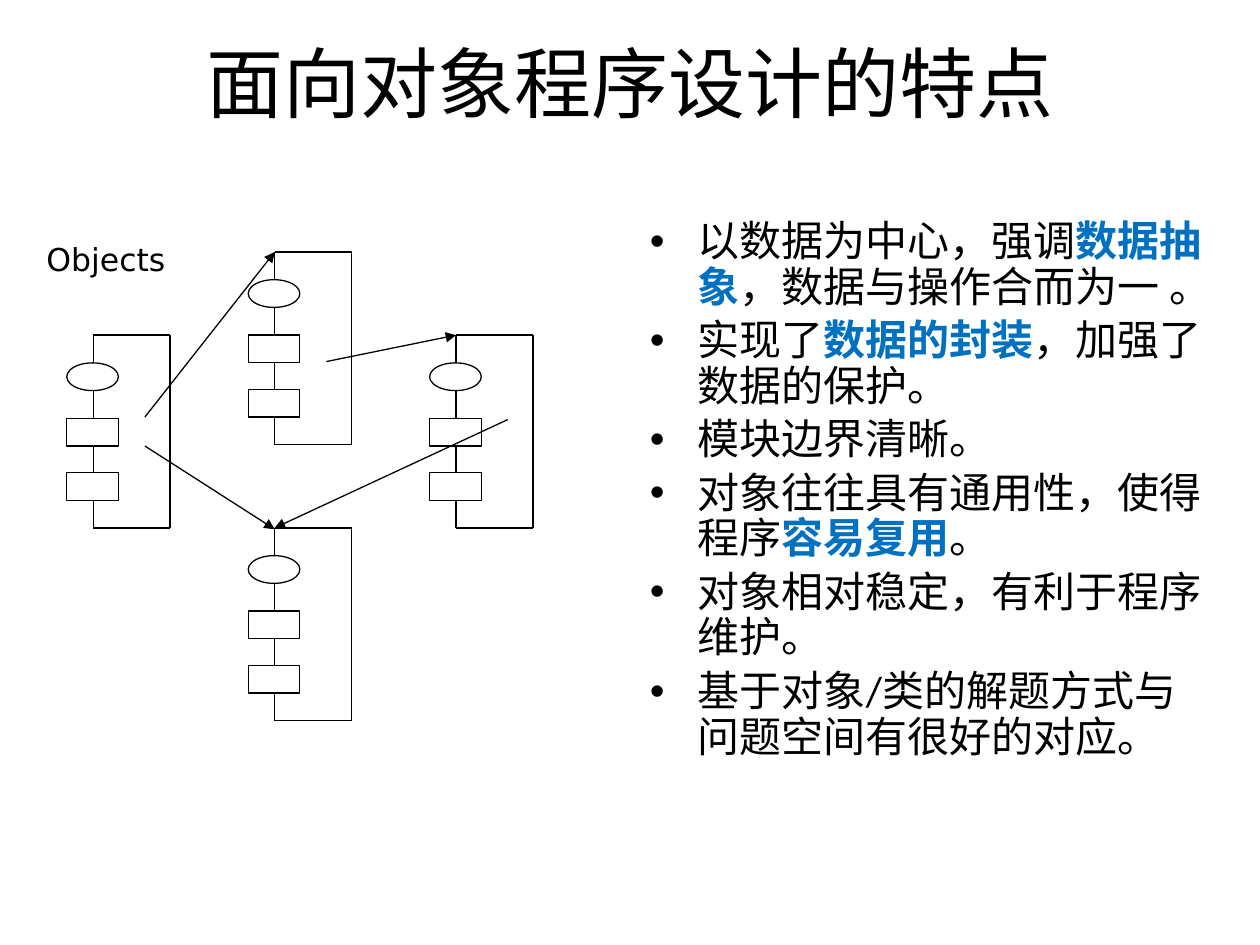
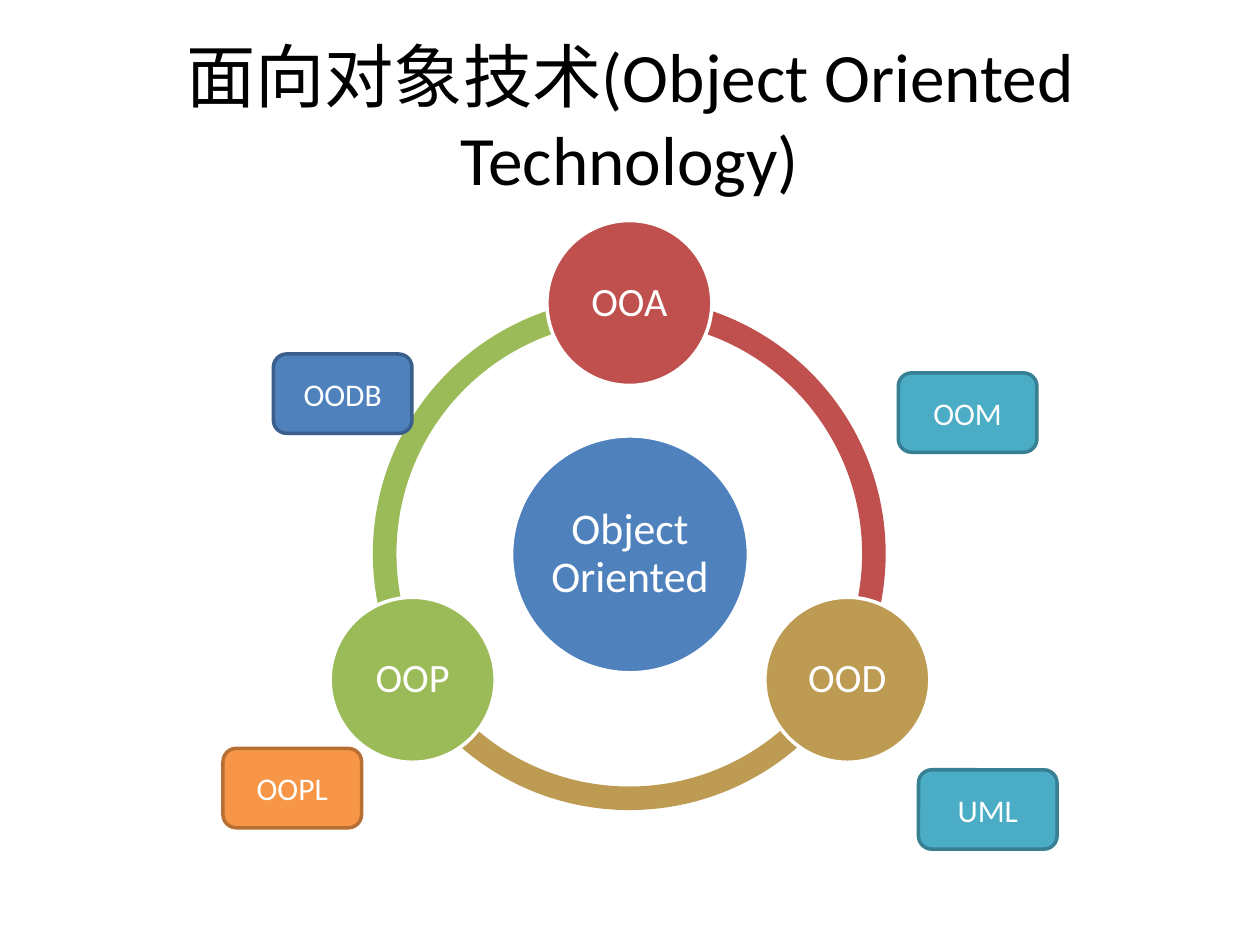
from math import cos, radians, sin

from lxml.etree import SubElement
from pptx import Presentation
from pptx.dml.color import RGBColor
from pptx.enum.shapes import MSO_CONNECTOR, MSO_SHAPE
from pptx.enum.text import MSO_ANCHOR, MSO_AUTO_SIZE, PP_ALIGN
from pptx.oxml.ns import qn
from pptx.util import Pt

PX = 9144  # EMU in one px, 100 px to the inch
FONT = "Calibri"
HUES = {
    "black": "000000", "white": "FFFFFF", "mark": "0070C0",
    "blue": "4F81BD", "navy": "3A5F8C", "red": "C0504D",
    "tan": "BD9B53", "green": "9BBB59", "orange": "F79646",
    "rust": "B76F34", "aqua": "4BACC6", "teal": "377F92",
}

# Content of slide 1: (text, marked) runs, one list a point
TRAITS = [
    [("以数据为中心，强调", 0), ("数据抽象", 1), ("，数据与操作合而为一 。", 0)],
    [("实现了", 0), ("数据的封装", 1), ("，加强了数据的保护。", 0)],
    [("模块边界清晰。", 0)],
    [("对象往往具有通用性，使得程序", 0), ("容易复用", 1), ("。", 0)],
    [("对象相对稳定，有利于程序维护。", 0)],
    [("基于对象/类的解题方式与问题空间有很好的对应。", 0)],
]
OBJECTS = [(53, 266), (197, 200), (197, 419), (341, 266)]  # left, top
CALLS = [(115, 331, 218, 200), (115, 354, 218, 420),
         (259, 287, 362, 266), (403, 333, 218, 419)]

# Content of slide 2: stages run clockwise, tags are left, top, fill, edge
STAGES = [("OOA", 270, "red"), ("OOD", 30, "tan"), ("OOP", 150, "green")]
TAGS = [
    ("OODB", 217, 281, "blue", "navy"), ("OOPL", 177, 594, "orange", "rust"),
    ("OOM", 713, 296, "aqua", "teal"), ("UML", 729, 611, "aqua", "teal"),
]


def px(*sizes):
    return [round(size) * PX for size in sizes]


def rgb(hue):
    return RGBColor.from_string(HUES[hue])


def style(run, size, hue, font=FONT, bold=False):
    run.font.size = Pt(size)
    run.font.name = font
    run.font.bold = bold
    run.font.color.rgb = rgb(hue)


def add_page(deck, title, box, size):
    page = deck.slides.add_slide(deck.slide_layouts[5])
    head = page.shapes.title
    head.left, head.top, head.width, head.height = px(*box)
    frame = head.text_frame
    frame.text = title
    frame.auto_size = MSO_AUTO_SIZE.NONE
    frame.vertical_anchor = MSO_ANCHOR.MIDDLE
    para = frame.paragraphs[0]
    para.alignment = PP_ALIGN.CENTER
    style(para.runs[0], size, "black")
    return page


def add_form(page, kind, box, fill=None, edge=None, width=2):
    form = page.shapes.add_shape(kind, *px(*box))
    form.shadow.inherit = False
    if fill:
        form.fill.solid()
        form.fill.fore_color.rgb = rgb(fill)
    else:
        form.fill.background()
    if edge:
        form.line.color.rgb = rgb(edge)
        form.line.width = Pt(width)
    else:
        form.line.fill.background()
    return form


def add_label(form, text, size):
    frame = form.text_frame
    frame.text = text
    frame.word_wrap = True
    frame.vertical_anchor = MSO_ANCHOR.MIDDLE
    para = frame.paragraphs[0]
    para.alignment = PP_ALIGN.CENTER
    style(para.runs[0], size, "white")
    return frame


def add_line(page, ends, arrow=False):
    line = page.shapes.add_connector(MSO_CONNECTOR.STRAIGHT, *px(*ends))
    line.line.color.rgb = rgb("black")
    line.line.width = Pt(0.75)
    if arrow:
        SubElement(line.line._get_or_add_ln(), qn("a:tailEnd"), type="triangle")
    SubElement(line._element.spPr, qn("a:effectLst"))


def add_object(page, left, top):
    rows = [top + round(153 * i / 7) for i in range(8)]
    spine, right = left + 21, left + 82
    # One oval and two boxes on every second row
    for row, kind in ((1, MSO_SHAPE.OVAL), (3, MSO_SHAPE.RECTANGLE),
                      (5, MSO_SHAPE.RECTANGLE)):
        add_form(page, kind, (left, rows[row], 41, 22), edge="black", width=0.75)
    # Spine between the parts, then the frame to the right
    for row in range(0, 8, 2):
        add_line(page, (spine, rows[row], spine, rows[row + 1]))
    for y in (rows[0], rows[7]):
        add_line(page, (spine, y, right, y))
    add_line(page, (right, rows[0], right, rows[7]))


def add_traits(page):
    frame = page.shapes.add_textbox(*px(506, 170, 459, 559)).text_frame
    frame.word_wrap = True
    for i, parts in enumerate(TRAITS):
        para = frame.add_paragraph() if i else frame.paragraphs[0]
        props = para._p.get_or_add_pPr()
        indent = 38 * PX
        props.set("marL", str(indent))
        props.set("indent", str(-indent))
        SubElement(props, qn("a:buFont"), typeface="Arial")
        SubElement(props, qn("a:buChar"), char="•")
        para.line_spacing = 0.9
        if i:
            para.space_before = Pt(4.8)
        for text, marked in parts:
            run = para.add_run()
            run.text = text
            style(run, 24, "mark" if marked else "black", bold=bool(marked))


def add_disc(page, text, x, y, size, fill, points):
    box = (x - size / 2, y - size / 2, size, size)
    disc = add_form(page, MSO_SHAPE.OVAL, box, fill, "white")
    frame = add_label(disc, text, points)
    frame.margin_left, frame.margin_top = px(3, 3)
    frame.margin_right, frame.margin_bottom = px(3, 3)
    frame.paragraphs[0].line_spacing = 0.9


def draw_traits(deck):
    page = add_page(deck, "面向对象程序设计的特点", (50, 13, 900, 103), 44)
    add_traits(page)
    for left, top in OBJECTS:
        add_object(page, left, top)
    for ends in CALLS:
        add_line(page, ends, arrow=True)
    note = page.shapes.add_textbox(*px(27, 186, 115, 40)).text_frame
    note.text = "Objects"
    note.word_wrap = False
    style(note.paragraphs[0].runs[0], 18, "black", "DejaVu Sans")


def draw_cycle(deck):
    page = add_page(deck, "面向对象技术(Object Oriented Technology)",
                    (50, 30, 900, 125), 39.6)
    x, y, reach = 500, 440, 199.5
    # Each arc leads from its stage to the next one
    for _, angle, hue in reversed(STAGES):
        arc = add_form(page, MSO_SHAPE.BLOCK_ARC, (296, 236, 407, 407), hue)
        for i, turn in enumerate((angle, (angle + 120) % 360)):
            arc.adjustments[i] = turn * 0.6  # 60000 units to the degree
        arc.adjustments[2] = 0.046
    add_disc(page, "Object Oriented", x, y, 188, "blue", 25)
    for text, angle, hue in STAGES:
        turn = radians(angle)
        add_disc(page, text, x + reach * cos(turn), y + reach * sin(turn),
                 131, hue, 23)
    # Tags around the cycle
    for text, left, top, fill, edge in TAGS:
        tag = add_form(page, MSO_SHAPE.ROUNDED_RECTANGLE,
                       (left, top, 110, 63), fill, edge)
        add_label(tag, text, 18)


def main():
    deck = Presentation()
    deck.slide_width, deck.slide_height = px(1000, 750)
    draw_traits(deck)
    draw_cycle(deck)
    deck.save("out.pptx")


if __name__ == "__main__":
    main()
